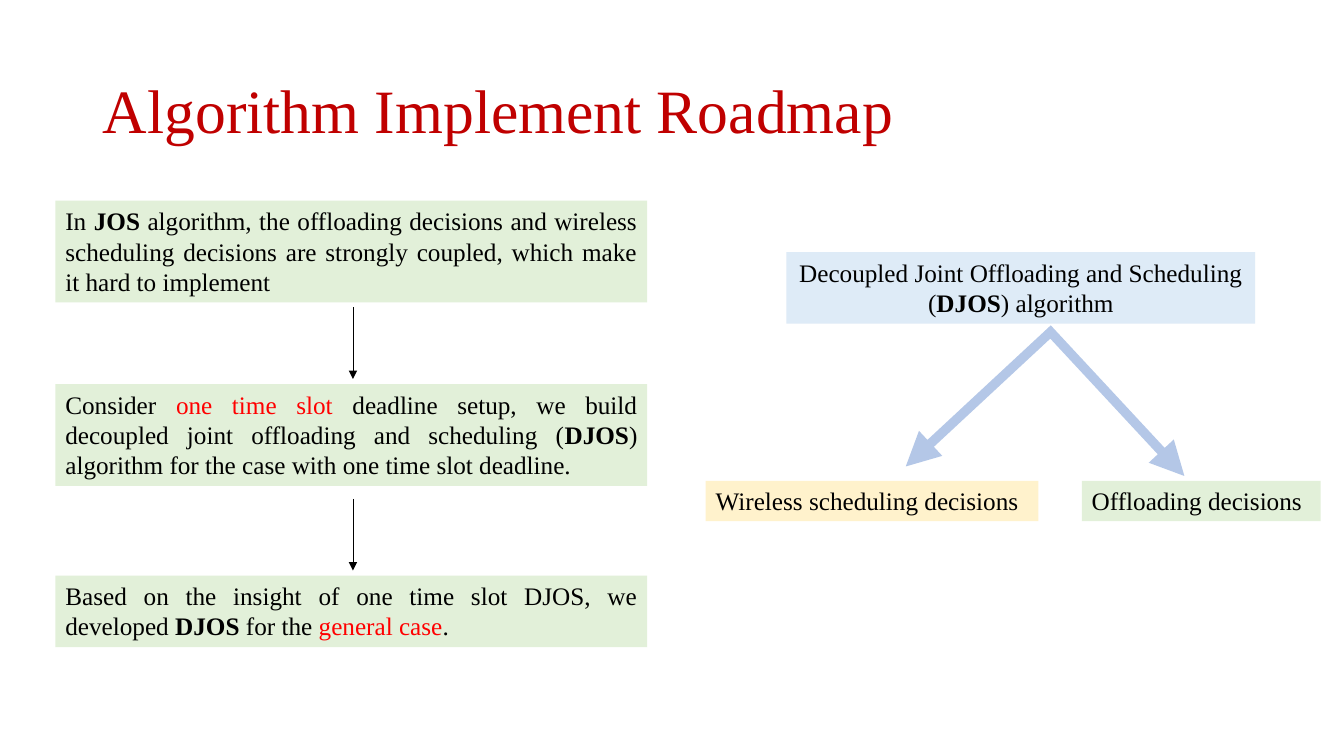
"""Build the algorithm roadmap slide: three steps on the left, the decoupling on the right."""
from dataclasses import dataclass

from lxml.etree import SubElement
from pptx import Presentation
from pptx.dml.color import RGBColor
from pptx.enum.shapes import MSO_CONNECTOR, MSO_SHAPE
from pptx.enum.text import MSO_ANCHOR, MSO_AUTO_SIZE, PP_ALIGN
from pptx.oxml.ns import qn
from pptx.util import Emu, Pt


@dataclass(frozen=True)
class Theme:
    """Colours, font and type sizes of the slide."""
    font: str = "Times New Roman"
    title_size: int = 44
    body_size: int = 18
    line_width: float = 0.5
    title: str = "C00000"
    ink: str = "000000"
    accent: str = "FF0000"
    green: str = "E2F0D9"
    blue: str = "DEEBF7"
    yellow: str = "FFF2CC"
    arrow: str = "B4C7E7"


THEME = Theme()
PX = 9144
SLIDE_SIZE = (1333, 750)

TITLE = "Algorithm Implement Roadmap"
TITLE_FRAME = (92, 40, 1150, 145)

PLAIN, BOLD, RED = "plain", "bold", "red"
STEP_LEFT, STEP_WIDTH = 55, 587
STEPS = [
    (199, 101, [
        ("In ", PLAIN), ("JOS ", BOLD),
        ("algorithm, the offloading decisions and wireless scheduling decisions "
         "are strongly coupled, which make it hard to implement", PLAIN)]),
    (381, 101, [
        ("Consider ", PLAIN), ("one time slot", RED),
        (" deadline setup, we build decoupled joint offloading and scheduling (", PLAIN),
        ("DJOS", BOLD),
        (") algorithm for the case with one time slot deadline.", PLAIN)]),
    (571, 71, [
        ("Based on the insight of one time slot DJOS, we developed ", PLAIN),
        ("DJOS", BOLD), (" for the ", PLAIN), ("general case", RED), (".", PLAIN)]),
]
STEP_ARROW_X, STEP_ARROW_LENGTH, STEP_ARROW_GAP = 350, 71, 5

DECISIONS = [
    ((780, 250, 465, 71), THEME.blue, PP_ALIGN.CENTER, [
        ("Decoupled Joint Offloading and Scheduling (", PLAIN),
        ("DJOS", BOLD), (") algorithm", PLAIN)]),
    ((700, 477, 330, 40), THEME.yellow, PP_ALIGN.LEFT,
     [("Wireless scheduling decisions", PLAIN)]),
    ((1073, 477, 237, 40), THEME.green, PP_ALIGN.LEFT,
     [("Offloading decisions", PLAIN)]),
]
FORK_FRAME = (931, 349, 212, 213)
FORK_ROTATION = 227.1
FORK_ADJUSTMENTS = (0.044, 0.08, 0.159)


def emu(lengths):
    """Turn px lengths into EMU."""
    return [Emu(length * PX) for length in lengths]


def format_span(span, size, colour, bold=False):
    """Set the font of one run."""
    span.font.name = THEME.font
    span.font.size = Pt(size)
    span.font.bold = bold
    span.font.color.rgb = RGBColor.from_string(colour)


def add_title(page):
    """Place and format the title placeholder."""
    title = page.shapes.title
    title.left, title.top, title.width, title.height = emu(TITLE_FRAME)
    title.text_frame.text = TITLE
    title.text_frame.vertical_anchor = MSO_ANCHOR.MIDDLE
    para = title.text_frame.paragraphs[0]
    para.alignment = PP_ALIGN.LEFT
    para.line_spacing = 0.9
    format_span(para.runs[0], THEME.title_size, THEME.title)


def add_box(page, frame, fill, alignment, spans):
    """Add a filled text box with mixed formatting."""
    box = page.shapes.add_textbox(*emu(frame))
    box.fill.solid()
    box.fill.fore_color.rgb = RGBColor.from_string(fill)
    box.text_frame.word_wrap = True
    box.text_frame.auto_size = MSO_AUTO_SIZE.SHAPE_TO_FIT_TEXT
    para = box.text_frame.paragraphs[0]
    para.alignment = alignment
    for text, style in spans:
        span = para.add_run()
        span.text = text
        colour = THEME.accent if style == RED else THEME.ink
        format_span(span, THEME.body_size, colour, style == BOLD)


def add_step_arrow(page, bottom):
    """Add a thin arrow that ends just above the given height."""
    ends = (STEP_ARROW_X, bottom - STEP_ARROW_LENGTH, STEP_ARROW_X, bottom)
    arrow = page.shapes.add_connector(MSO_CONNECTOR.STRAIGHT, *emu(ends))
    arrow.line.color.rgb = RGBColor.from_string(THEME.ink)
    arrow.line.width = Pt(THEME.line_width)
    SubElement(arrow.line._get_or_add_ln(), qn("a:tailEnd"), type="triangle")
    SubElement(arrow._element.spPr, qn("a:effectLst"))


def add_fork(page):
    """Add the two-headed arrow that splits the algorithm."""
    fork = page.shapes.add_shape(MSO_SHAPE.LEFT_UP_ARROW, *emu(FORK_FRAME))
    for index, value in enumerate(FORK_ADJUSTMENTS):
        fork.adjustments[index] = value
    fork.rotation = FORK_ROTATION
    fork.shadow.inherit = False
    fork.fill.solid()
    fork.fill.fore_color.rgb = RGBColor.from_string(THEME.arrow)
    fork.line.fill.background()


def main():
    """Build and save the deck."""
    deck = Presentation()
    deck.slide_width, deck.slide_height = emu(SLIDE_SIZE)
    page = deck.slides.add_slide(deck.slide_layouts[5])
    add_title(page)
    for index, (top, height, spans) in enumerate(STEPS):
        if index:
            add_step_arrow(page, top - STEP_ARROW_GAP)
        frame = (STEP_LEFT, top, STEP_WIDTH, height)
        add_box(page, frame, THEME.green, PP_ALIGN.JUSTIFY, spans)
    add_fork(page)
    for decision in DECISIONS:
        add_box(page, *decision)
    deck.save("out.pptx")


if __name__ == "__main__":
    main()
